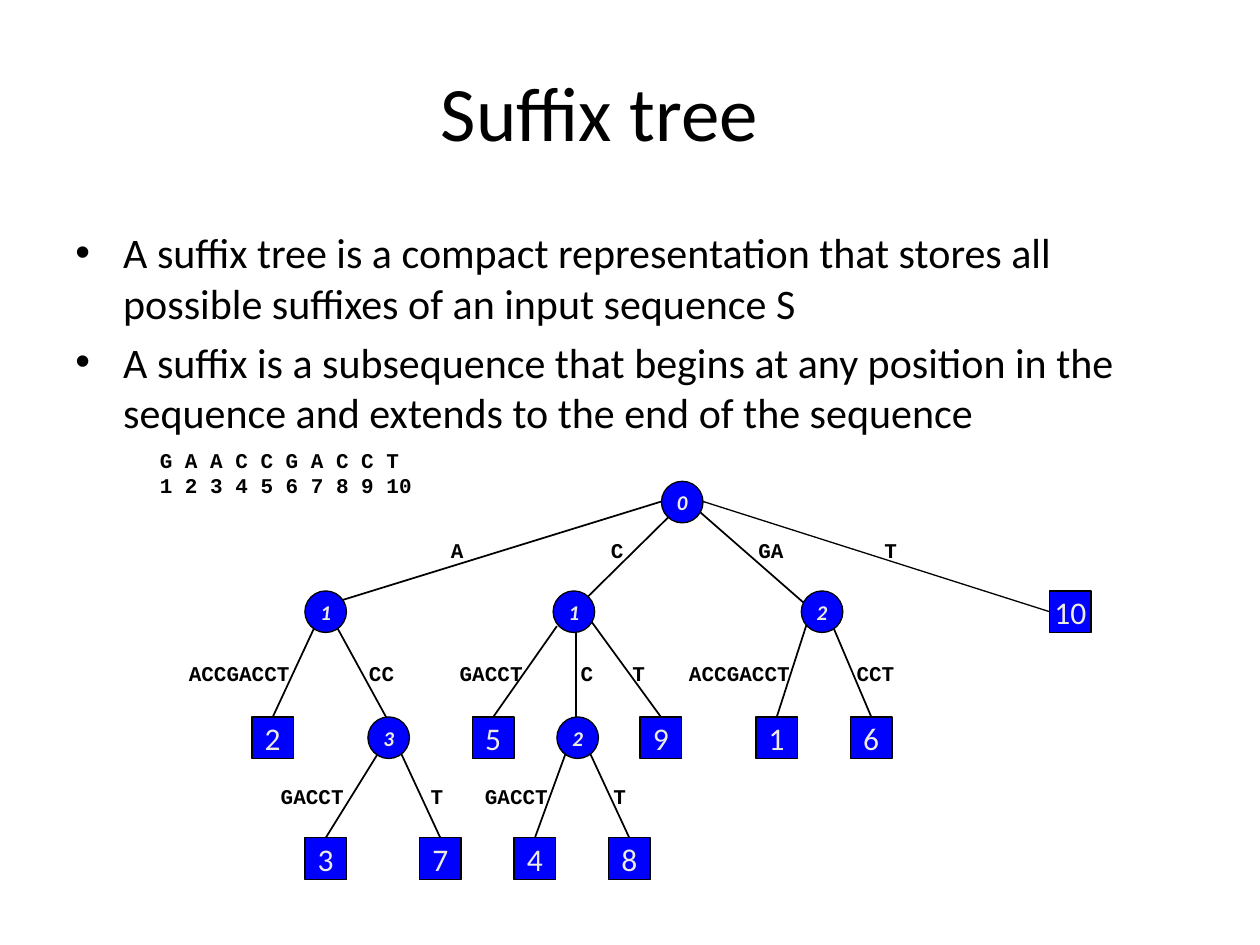
from lxml.etree import SubElement
from pptx import Presentation
from pptx.dml.color import RGBColor
from pptx.enum.shapes import MSO_CONNECTOR as Link, MSO_SHAPE as Preset
from pptx.enum.text import MSO_ANCHOR as Anchor, PP_ALIGN as Align
from pptx.oxml.ns import qn
from pptx.util import Inches, Pt

BLACK, BLUE, CREAM = "000000", "0000FF", "EEECE1"
NODE_SIZE = 0.33
NODE_TOPS = [3.82, 4.69, 5.69, 6.65]
LABEL_TOPS = [4.22, 5.19, 6.17]

INNER_NODES = {
    "root": (5.25, 0, "0"),
    "A": (2.42, 1, "1"),
    "C": (4.39, 1, "1"),
    "GA": (6.36, 1, "2"),
    "ACC": (2.92, 2, "3"),
    "CC": (4.42, 2, "2"),
}
LEAVES = {
    "2": (2, 2), "3": (2.42, 3), "7": (3.33, 3), "4": (4.08, 3),
    "8": (4.83, 3), "5": (3.75, 2), "9": (5.08, 2), "1": (6, 2),
    "6": (6.75, 2), "10": (8.33, 1),
}
INNER_EDGES = [
    ((5.25, 3.98), (2.66, 4.78)),
    ((5.31, 4.1), (4.58, 4.82)),
    ((5.54, 4.05), (6.42, 4.82)),
    ((2.67, 4.97), (3.08, 5.72)),
    ((4.57, 4.97), (4.57, 5.72)),
]
LEAF_STARTS = {
    "2": (2.5, 4.97), "5": (4.42, 4.97), "9": (4.67, 4.9),
    "1": (6.42, 4.9), "6": (6.58, 4.9), "3": (3, 5.98),
    "7": (3.17, 5.95), "4": (4.5, 5.95), "8": (4.67, 5.95),
    "10": (5.58, 3.98),
}
EDGE_LABELS = [
    [("A", 3.48), ("C", 4.75), ("GA", 5.92), ("T", 6.92)],
    [("ACCGACCT", 1.4), ("CC", 2.83), ("GACCT", 3.55), ("C", 4.51),
     ("T", 4.92), ("ACCGACCT", 5.37), ("CCT", 6.7)],
    [("GACCT", 2.13), ("T", 3.32), ("GACCT", 3.75), ("T", 4.77)],
]


def rgb(code):
    return RGBColor.from_string(code)


def set_font(font, name, size, color, bold=False, italic=False):
    font.name, font.size = name, Pt(size)
    font.color.rgb = rgb(color)
    font.bold, font.italic = bold, italic


def add_box(slide, left, top, width, height, wrap=True):
    box = slide.shapes.add_textbox(*map(Inches, (left, top, width, height)))
    box.text_frame.word_wrap = wrap
    return box.text_frame


def add_title(slide, words):
    frame = add_box(slide, 0.5, 0.25, 9, 1.25)
    frame.vertical_anchor = Anchor.MIDDLE
    line = frame.paragraphs[0]
    line.alignment = Align.CENTER
    heading, gap = line.add_run(), line.add_run()
    heading.text, gap.text = words, "\t"
    set_font(heading.font, "Calibri", 44, BLACK)
    set_font(gap.font, "Arial", 28, BLUE)


def add_bullets(slide, items):
    frame = add_box(slide, 0.5, 1.75, 9, 1.83)
    frame.text = "\n".join(items)
    for index, item in enumerate(frame.paragraphs):
        props = item._p.get_or_add_pPr()
        props.set("marL", str(Inches(0.38)))
        props.set("indent", str(Inches(-0.38)))
        SubElement(props, qn("a:buFont")).set("typeface", "Arial")
        SubElement(props, qn("a:buChar")).set("char", "•")
        item.space_before = Pt(5 if index else 0)
        set_font(item.font, "Calibri", 24, BLACK)


def add_code(slide, words, left, top, width, height):
    frame = add_box(slide, left, top, width, height, wrap=False)
    frame.text = words
    for line in frame.paragraphs:
        set_font(line.font, "Courier New", 12, BLACK, bold=True)


def add_edge(slide, start, end, weight=1):
    edge = slide.shapes.add_connector(
        Link.STRAIGHT, *map(Inches, (*start, *end)))
    edge.line.color.rgb = rgb(BLACK)
    edge.line.width = Pt(weight)
    SubElement(edge._element.spPr, qn("a:effectLst"))
    return edge


def add_node(slide, preset, left, level, words, size, emphasis=False):
    node = slide.shapes.add_shape(preset, *map(
        Inches, (left, NODE_TOPS[level], NODE_SIZE, NODE_SIZE)))
    node.shadow.inherit = False
    node.fill.solid()
    node.fill.fore_color.rgb = rgb(BLUE)
    node.line.color.rgb = rgb(BLACK)
    node.line.width = Pt(0.75)
    frame = node.text_frame
    frame.word_wrap = False
    frame.margin_left = frame.margin_right = 0
    frame.margin_top = frame.margin_bottom = 0
    frame.vertical_anchor = Anchor.MIDDLE
    frame.text = words
    caption = frame.paragraphs[0]
    caption.alignment = Align.CENTER
    set_font(caption.font, "Calibri", size, CREAM, emphasis, emphasis)
    return node


def add_tree(slide):
    for start, end in INNER_EDGES:
        add_edge(slide, start, end)
    leaf_edges = {
        name: add_edge(slide, start, start, 0.75 if name == "10" else 1)
        for name, start in LEAF_STARTS.items()
    }
    for left, level, depth in INNER_NODES.values():
        add_node(slide, Preset.OVAL, left, level, depth, 12, emphasis=True)
    for name, (left, level) in LEAVES.items():
        leaf = add_node(slide, Preset.RECTANGLE, left, level, name, 18)
        leaf_edges[name].end_connect(leaf, 1 if name == "10" else 0)
    for top, labels in zip(LABEL_TOPS, EDGE_LABELS):
        for words, left in labels:
            add_code(slide, words, left, top, 0.2 + 0.1 * len(words), 0.3)


def main():
    deck = Presentation()
    deck.slide_width, deck.slide_height = Inches(10), Inches(7.5)
    slide = deck.slides.add_slide(deck.slide_layouts[6])
    add_title(slide, "Suffix tree")
    add_bullets(slide, [
        "A suffix tree is a compact representation that stores all possible "
        "suffixes of an input sequence S",
        "A suffix is a subsequence that begins at any position in the "
        "sequence and extends to the end of the sequence",
    ])
    add_code(slide, "G A A C C G A C C T\n1 2 3 4 5 6 7 8 9 10",
             1.17, 3.5, 2.2, 0.5)
    add_tree(slide)
    deck.save("out.pptx")


if __name__ == "__main__":
    main()
